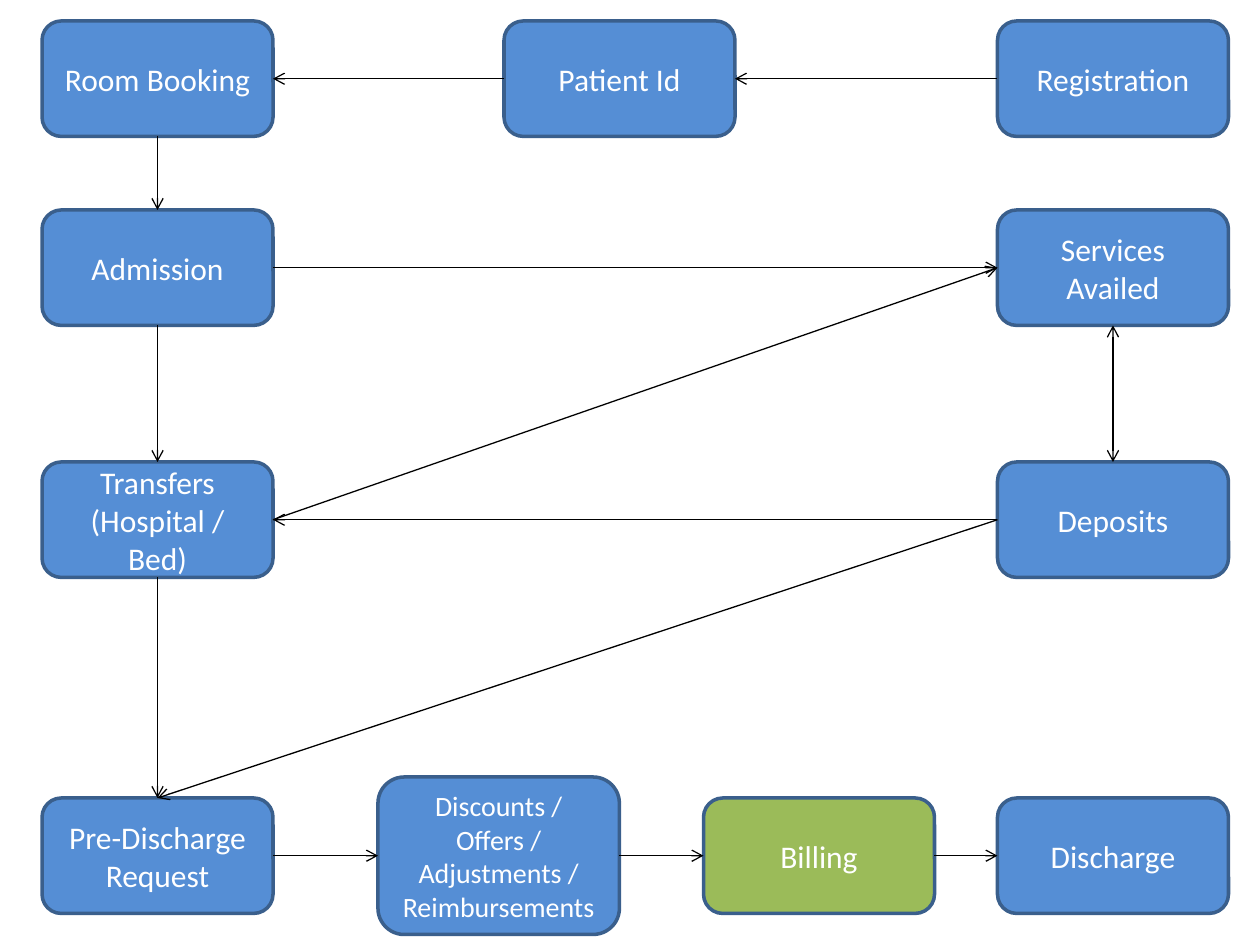
import lxml.etree
import pptx
import pptx.dml.color
import pptx.enum.shapes
import pptx.enum.text
import pptx.oxml.ns
import pptx.util

EMU_PER_PX = 7620  # 120 px to the inch
SLIDE_SIZE = (1200, 900)
BOX_SIZE = (220, 110)
LEFT, MIDDLE, BILLING_LEFT, RIGHT = 40, 480, 670, 950
ROWS = (20, 200, 440, 760)

BLUE, GREEN, OUTLINE = "558ED5", "9BBB59", "3A5F8C"
WHITE, BLACK = "FFFFFF", "000000"

# Connection sites of a rectangle
TOP, WEST, BOTTOM, EAST = range(4)

# Steps: text, left, top
STEPS = [
    ("Room Booking", LEFT, ROWS[0]),
    ("Patient Id", MIDDLE, ROWS[0]),
    ("Registration", RIGHT, ROWS[0]),
    ("Admission", LEFT, ROWS[1]),
    ("Services Availed", RIGHT, ROWS[1]),
    ("Transfers (Hospital / Bed)", LEFT, ROWS[2]),
    ("Deposits", RIGHT, ROWS[2]),
    ("Pre-Discharge Request", LEFT, ROWS[3]),
    ("Discharge", RIGHT, ROWS[3]),
]
DISCOUNTS = "Discounts / Offers / Adjustments / Reimbursements"

# Flows: start step, its side, end step, its side
FLOWS = [
    ("Registration", WEST, "Patient Id", EAST),
    ("Patient Id", WEST, "Room Booking", EAST),
    ("Room Booking", BOTTOM, "Admission", TOP),
    ("Admission", EAST, "Services Availed", WEST),
    ("Admission", BOTTOM, "Transfers (Hospital / Bed)", TOP),
    ("Transfers (Hospital / Bed)", EAST, "Services Availed", WEST),
    ("Deposits", WEST, "Transfers (Hospital / Bed)", EAST),
    ("Deposits", WEST, "Pre-Discharge Request", TOP),
    ("Transfers (Hospital / Bed)", BOTTOM, "Pre-Discharge Request", TOP),
    ("Pre-Discharge Request", EAST, DISCOUNTS, WEST),
    (DISCOUNTS, EAST, "Billing", WEST),
    ("Billing", EAST, "Discharge", WEST),
]


def px(length):
    return pptx.util.Emu(length * EMU_PER_PX)


def color(hex_string):
    return pptx.dml.color.RGBColor.from_string(hex_string)


def add_step(slide, text, left, top, size=BOX_SIZE, fill=BLUE, points=18):
    shape = slide.shapes.add_shape(
        pptx.enum.shapes.MSO_SHAPE.ROUNDED_RECTANGLE,
        px(left), px(top), px(size[0]), px(size[1]))
    shape.shadow.inherit = False
    shape.fill.solid()
    shape.fill.fore_color.rgb = color(fill)
    shape.line.color.rgb = color(OUTLINE)
    shape.line.width = pptx.util.Pt(2)

    frame = shape.text_frame
    frame.word_wrap = True
    frame.vertical_anchor = pptx.enum.text.MSO_ANCHOR.MIDDLE
    frame.text = text
    paragraph = frame.paragraphs[0]
    paragraph.alignment = pptx.enum.text.PP_ALIGN.CENTER
    paragraph.font.name = "Calibri"
    paragraph.font.size = pptx.util.Pt(points)
    paragraph.font.color.rgb = color(WHITE)
    return shape


def add_flow(slide, start, start_side, end, end_side, both_ways=False):
    connector = slide.shapes.add_connector(
        pptx.enum.shapes.MSO_CONNECTOR.STRAIGHT, 0, 0, 0, 0)
    connector.begin_connect(start, start_side)
    connector.end_connect(end, end_side)
    connector.line.color.rgb = color(BLACK)
    connector.line.width = pptx.util.Pt(0.75)

    # Arrowheads, and no shadow
    qn = pptx.oxml.ns.qn
    properties = connector.element.spPr
    line = properties.find(qn("a:ln"))
    for tag in ("a:headEnd", "a:tailEnd") if both_ways else ("a:tailEnd",):
        lxml.etree.SubElement(line, qn(tag), type="arrow")
    lxml.etree.SubElement(properties, qn("a:effectLst"))


def main():
    presentation = pptx.Presentation()
    presentation.slide_width, presentation.slide_height = map(px, SLIDE_SIZE)
    slide = presentation.slides.add_slide(presentation.slide_layouts[6])

    # Steps
    steps = {text: add_step(slide, text, left, top)
             for text, left, top in STEPS}
    steps["Billing"] = add_step(
        slide, "Billing", BILLING_LEFT, ROWS[3], fill=GREEN)
    steps[DISCOUNTS] = add_step(
        slide, DISCOUNTS, 360, 740, size=(230, 150), points=16)

    # Flows
    for start, start_side, end, end_side in FLOWS:
        add_flow(slide, steps[start], start_side, steps[end], end_side)
    add_flow(slide, steps["Services Availed"], BOTTOM,
             steps["Deposits"], TOP, both_ways=True)

    presentation.save("out.pptx")


if __name__ == "__main__":
    main()
